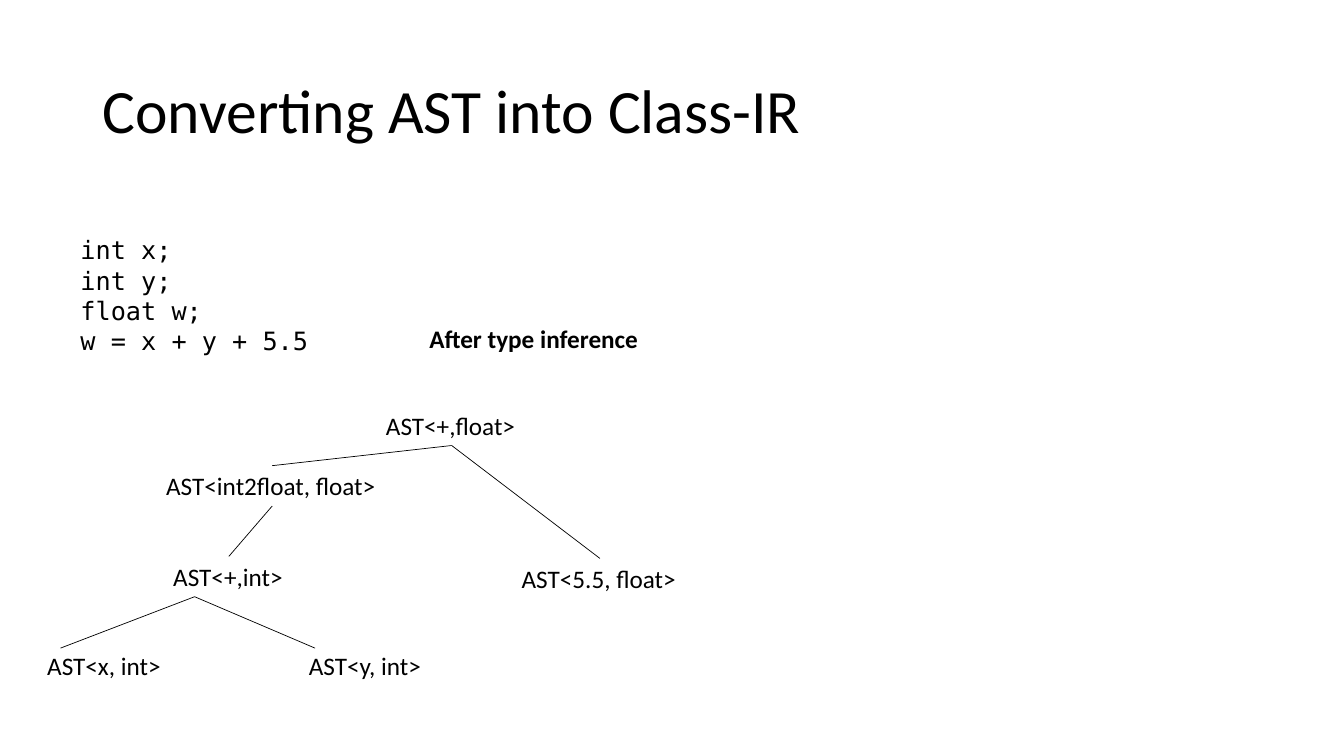
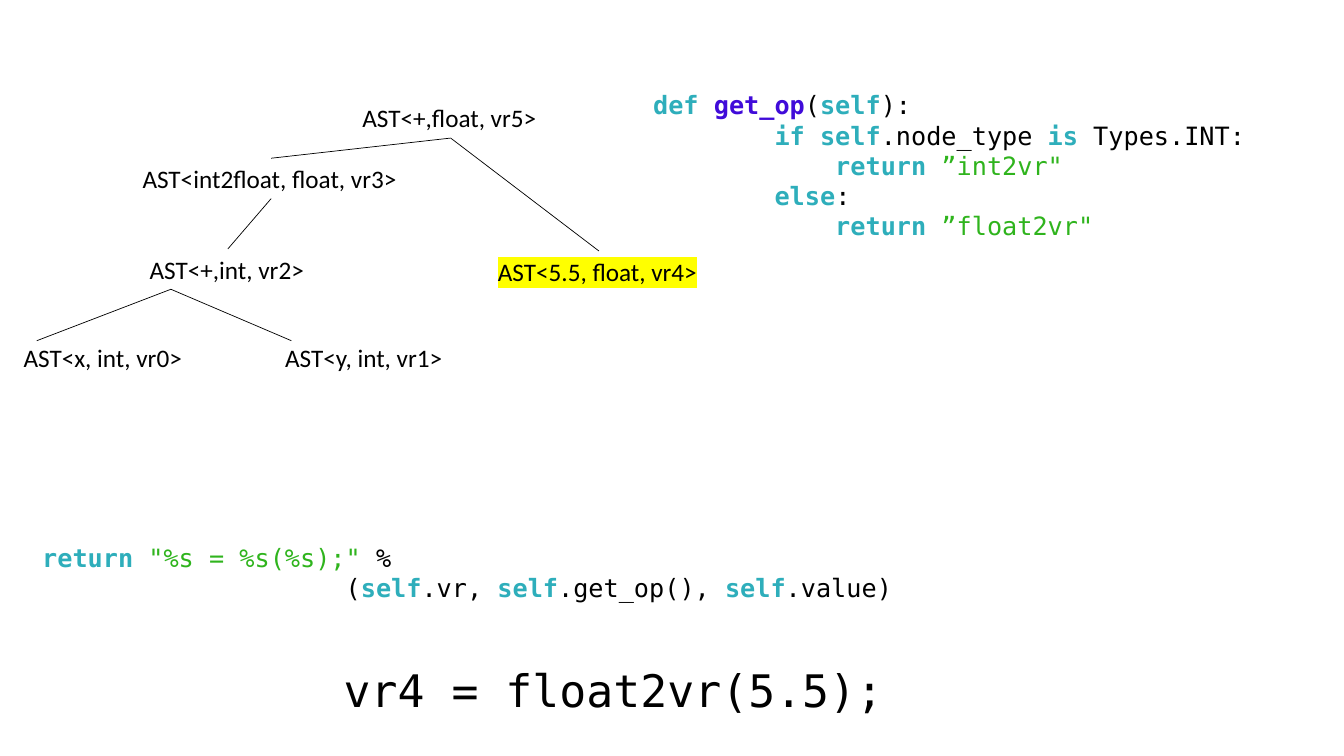
"""Build two slides that lower a typed syntax tree to Class-IR code."""
from pptx import Presentation
from pptx.dml.color import RGBColor
from pptx.enum.shapes import MSO_CONNECTOR
from pptx.enum.text import MSO_ANCHOR, MSO_AUTO_SIZE
from pptx.oxml import parse_xml
from pptx.oxml.ns import nsdecls
from pptx.util import Inches, Pt

BLACK, TEAL, PURPLE, GREEN, YELLOW = "000000", "2EAEBB", "400BD9", "2FB41D", "FFFF00"
SANS, MONO = "Calibri", "DejaVu Sans Mono"


def add_text(slide, box, lines, font=SANS, size=18, wrap=False):
    """Add a text box; each line is a list of (text, colour) runs."""
    shape = slide.shapes.add_textbox(*[Inches(length) for length in box])
    frame = shape.text_frame
    frame.word_wrap = wrap
    frame.auto_size = MSO_AUTO_SIZE.SHAPE_TO_FIT_TEXT
    for index, runs in enumerate(lines):
        paragraph = frame.paragraphs[0] if index == 0 else frame.add_paragraph()
        paragraph.font.name = font
        paragraph.font.size = Pt(size)
        for text, colour in runs:
            run = paragraph.add_run()
            run.text = text
            run.font.color.rgb = RGBColor.from_string(colour)
            if colour in (TEAL, PURPLE):
                run.font.bold = True
    return shape


def add_line(slide, start, end):
    """Add a thin black line between two points in EMU."""
    line = slide.shapes.add_connector(MSO_CONNECTOR.STRAIGHT, *start, *end)
    line.line.color.rgb = RGBColor.from_string(BLACK)
    line.line.width = Pt(0.5)
    line._element.spPr.append(parse_xml(f"<a:effectLst {nsdecls('a')}/>"))
    return line


presentation = Presentation()
presentation.slide_width, presentation.slide_height = Inches(13.33), Inches(7.5)
blank = presentation.slide_layouts[6]
typing_slide = presentation.slides.add_slide(blank)
code_slide = presentation.slides.add_slide(blank)

title = add_text(typing_slide, (0.92, 0.4, 11.5, 1.45),
                 [[("Converting AST into Class-IR", BLACK)]], size=44, wrap=True)
title.text_frame.auto_size = MSO_AUTO_SIZE.NONE
title.text_frame.vertical_anchor = MSO_ANCHOR.MIDDLE
title.text_frame.paragraphs[0].line_spacing = 0.9

declarations = ["int x;", "int y;", "float w;", "w = x + y + 5.5"]
add_text(typing_slide, (0.7, 2.28, 2.46, 1.31),
         [[(line, BLACK)] for line in declarations], MONO)
caption = add_text(typing_slide, (4.16, 3.16, 2.3, 0.4), [[("After type inference", BLACK)]])
caption.text_frame.paragraphs[0].font.bold = True

add_text(code_slide, (0.32, 5.33, 12.7, 0.71), [
    [("return ", TEAL), ('"%s = %s(%s);"', GREEN), (" %", BLACK)],
    [(" " * 20 + "(", BLACK), ("self", TEAL), (".vr, ", BLACK), ("self", TEAL),
     (".get_op(), ", BLACK), ("self", TEAL), (".value)", BLACK)],
], MONO, wrap=True)
add_text(code_slide, (6.38, 0.84, 6.67, 1.62), [
    [("def ", TEAL), ("get_op", PURPLE), ("(", BLACK), ("self", TEAL), ("):", BLACK)],
    [("        if self", TEAL), (".node_type ", BLACK), ("is ", TEAL), ("Types.INT:", BLACK)],
    [("            return ", TEAL), ('”int2vr"', GREEN)],
    [("        else", TEAL), (":", BLACK)],
    [("            return ", TEAL), ('”float2vr"', GREEN)],
], MONO, wrap=True)
add_text(code_slide, (3.31, 6.53, 5.6, 0.64), [[("vr4 = float2vr(5.5);", BLACK)]], MONO, 32)

tree_nodes = {
    "x": (1.04, 6.4, 1.34, "x, int", "vr0"),
    "y": (3.63, 6.4, 1.33, "y, int", "vr1"),
    "int sum": (2.27, 5.52, 1.3, "+,int", "vr2"),
    "cast": (2.7, 4.62, 2.3, "int2float, float", "vr3"),
    "constant": (5.95, 5.54, 1.75, "5.5, float", "vr4"),
    "float sum": (4.48, 4.02, 1.5, "+,float", "vr5"),
}
joined_edges = [("float sum", "cast"), ("float sum", "constant"), ("cast", "int sum")]
leaf_edges = [("x", 0.23), ("y", 0.16)]

trees = [(typing_slide, 0, 0, 0, False), (code_slide, -0.01, -3.05, 0.45, True)]
for slide, shift_x, shift_y, extra_width, show_register in trees:
    boxes = {}
    for name, (center, top, width, label, register) in tree_nodes.items():
        width += extra_width
        content = f"{label}, {register}" if show_register else label
        boxes[name] = add_text(
            slide, (center + shift_x - width / 2, top + shift_y, width, 0.4),
            [[(f"AST<{content}>", BLACK)]])
    for parent, child in joined_edges:
        line = add_line(slide, (0, 0), (0, 0))
        line.begin_connect(boxes[parent], 2)
        line.end_connect(boxes[child], 0)
    int_sum = boxes["int sum"]
    fork = (int_sum.left + Inches(0.31), int_sum.top + int_sum.height)
    for name, inset in leaf_edges:
        leaf = boxes[name]
        add_line(slide, fork, (leaf.left + Inches(inset), leaf.top + Inches(0.03)))
    if show_register:
        run = boxes["constant"].text_frame.paragraphs[0].runs[0]
        run._r.rPr.append(parse_xml(
            f'<a:highlight {nsdecls("a")}><a:srgbClr val="{YELLOW}"/></a:highlight>'))

presentation.save("out.pptx")
